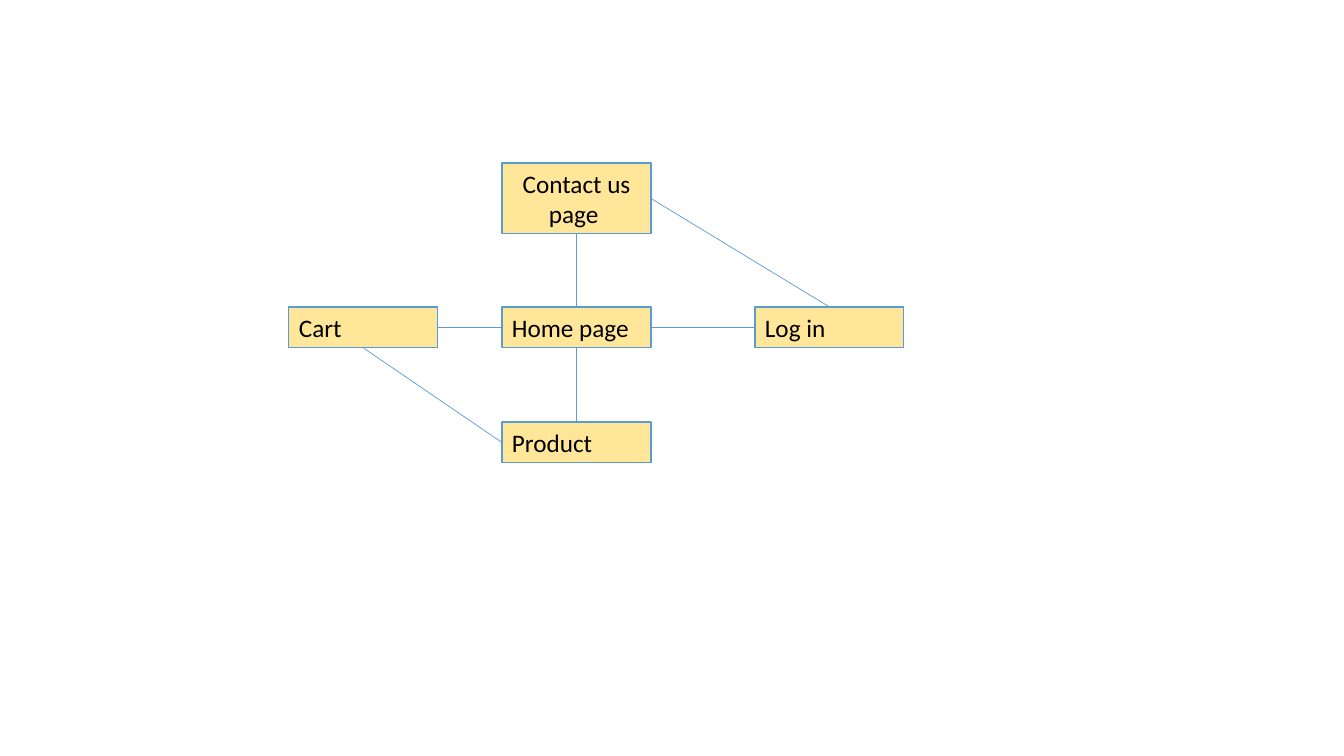
from lxml import etree
from pptx import Presentation
from pptx.dml.color import RGBColor
from pptx.enum.shapes import MSO_CONNECTOR, MSO_SHAPE
from pptx.enum.text import MSO_ANCHOR, MSO_AUTO_SIZE, PP_ALIGN
from pptx.oxml.ns import qn
from pptx.util import Pt

RECTANGLE = MSO_SHAPE.RECTANGLE
STRAIGHT = MSO_CONNECTOR.STRAIGHT
LEFT, CENTER = PP_ALIGN.LEFT, PP_ALIGN.CENTER
# Connection sites of a rectangle
TOP_SIDE, LEFT_SIDE, BOTTOM_SIDE, RIGHT_SIDE = range(4)

# Content
COLORS = {"box": "FFE699", "line": "5B9BD5", "text": "000000"}
COLUMNS = {"west": 289, "middle": 502, "east": 755}
ROWS = {"upper": 163, "center": 307, "lower": 422}
BOX_WIDTH, LINE_HEIGHT, TWO_LINE_HEIGHT = 149, 41, 71

# name: (text, column, row, height, alignment)
PAGES = {
    "home": ("Home page", "middle", "center", LINE_HEIGHT, LEFT),
    "contact": ("Contact us page ", "middle", "upper", TWO_LINE_HEIGHT, CENTER),
    "product": ("Product", "middle", "lower", LINE_HEIGHT, LEFT),
    "cart": ("Cart", "west", "center", LINE_HEIGHT, LEFT),
    "login": ("Log in", "east", "center", LINE_HEIGHT, LEFT),
}
# (start page, side, end page, side)
PATHS = [
    ("home", TOP_SIDE, "contact", BOTTOM_SIDE),
    ("login", LEFT_SIDE, "home", RIGHT_SIDE),
    ("home", LEFT_SIDE, "cart", RIGHT_SIDE),
    ("product", TOP_SIDE, "home", BOTTOM_SIDE),
    ("cart", BOTTOM_SIDE, "product", LEFT_SIDE),
    ("login", TOP_SIDE, "contact", RIGHT_SIDE),
]
FONT = {"name": "Calibri", "size": Pt(18)}
FRAME = {
    "word_wrap": True,
    "auto_size": MSO_AUTO_SIZE.SHAPE_TO_FIT_TEXT,
    "vertical_anchor": MSO_ANCHOR.TOP,
}


def px(length):
    return round(length * 914400 / 100.8)


def color(name):
    return RGBColor.from_string(COLORS[name])


def set_all(target, values):
    for name, value in values.items():
        setattr(target, name, value)


def style_line(line, width):
    line.color.rgb = color("line")
    line.width = Pt(width)


def add_box(slide, text, column, row, height, alignment):
    box = slide.shapes.add_shape(
        RECTANGLE, px(COLUMNS[column]), px(ROWS[row]), px(BOX_WIDTH), px(height))
    box.shadow.inherit = False
    box.fill.solid()
    box.fill.fore_color.rgb = color("box")
    style_line(box.line, 0.75)
    set_all(box.text_frame, FRAME)
    para = box.text_frame.paragraphs[0]
    para.alignment = alignment
    span = para.add_run()
    span.text = text
    set_all(span.font, FONT)
    span.font.color.rgb = color("text")
    return box


def add_link(slide, start, start_side, end, end_side):
    link = slide.shapes.add_connector(STRAIGHT, 0, 0, 0, 0)
    link.begin_connect(start, start_side)
    link.end_connect(end, end_side)
    style_line(link.line, 0.5)
    etree.SubElement(link.element.spPr, qn("a:effectLst"))


def main():
    deck = Presentation()
    deck.slide_width, deck.slide_height = px(1344), px(756)
    slide = deck.slides.add_slide(deck.slide_layouts[6])

    # Page boxes
    boxes = {name: add_box(slide, *page) for name, page in PAGES.items()}

    # Links between the pages
    for start, start_side, end, end_side in PATHS:
        add_link(slide, boxes[start], start_side, boxes[end], end_side)

    deck.save("out.pptx")


if __name__ == "__main__":
    main()
